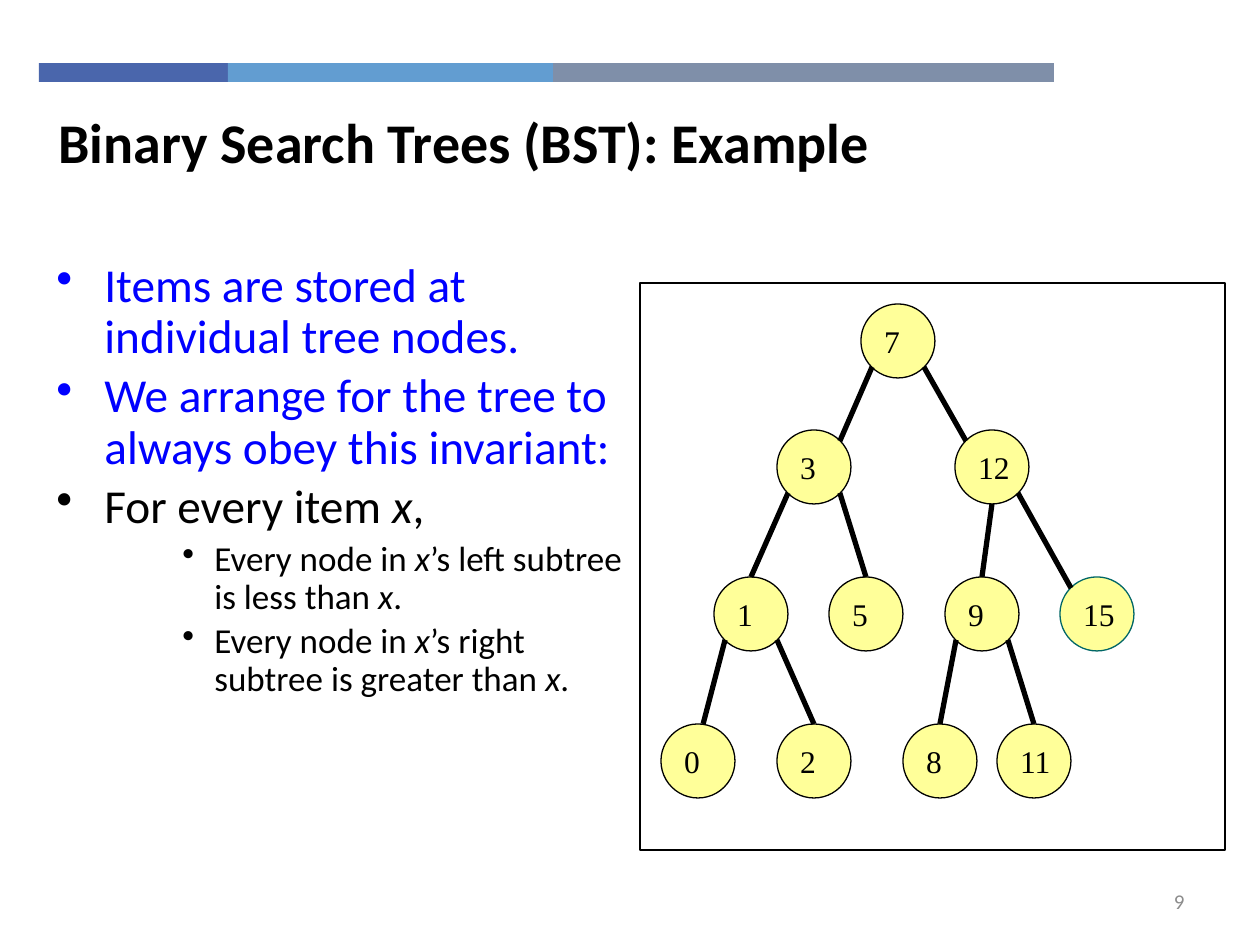
from dataclasses import dataclass

from lxml.etree import SubElement
from pptx import Presentation
from pptx.dml.color import RGBColor
from pptx.enum.shapes import MSO_CONNECTOR, MSO_SHAPE
from pptx.enum.text import MSO_ANCHOR, PP_ALIGN
from pptx.oxml.ns import qn
from pptx.util import Pt

PX = 914400 // 126  # EMU in one px


@dataclass(frozen=True)
class Theme:
    black: str = "000000"
    white: str = "FFFFFF"
    blue: str = "0000FF"
    gray: str = "8C8C8C"
    node: str = "FFFF99"
    teal: str = "006666"
    sans: str = "Calibri"
    serif: str = "Times New Roman"
    title: int = 32
    body: int = 27
    detail: int = 20
    label: int = 18
    number: int = 12
    outline: float = 0.75
    edge: int = 3


THEME = Theme()

# Content
TITLE = "Binary Search Trees (BST): Example"
PAGE_NUMBER = "9"
STRIPE = [(189, "4A66AC"), (325, "629DD1"), (501, "7F8FA9")]  # width, colour

# Style: level, left margin px, hanging px, size, space before
POINT = (0, 48, 48, THEME.body, 5)
DETAIL = (2, 158, 32, THEME.detail, 4)
# Every second piece of text is italic
BULLETS = [
    (POINT, THEME.blue, ["Items are stored at individual tree nodes."]),
    (POINT, THEME.blue, ["We arrange for the tree to always obey this invariant:"]),
    (POINT, THEME.black, ["For every item ", "x", ","]),
    (DETAIL, THEME.black,
     ["Every node in ", "x", "’s left subtree is less than ", "x", "."]),
    (DETAIL, THEME.black,
     ["Every node in ", "x", "’s right subtree is greater than ", "x", "."]),
]

# Tree rows: top, then left of each node by its label
NODE_SIZE = 74
ROWS = [
    (304, {"7": 861}),
    (430, {"3": 777, "12": 955}),
    (577, {"1": 714, "5": 829, "9": 945, "15": 1060}),
    (724, {"0": 661, "2": 777, "8": 903, "11": 997}),
]
NODES = {label: (left, top) for top, row in ROWS for label, left in row.items()}
OUTLINES = {"15": THEME.teal}

# Points on a node's rim, as shares of its size
RIM = {
    "top": (0.5, 0), "right of top": (0.57, 0), "bottom": (0.5, 1),
    "top left": (0.15, 0.15), "top right": (0.85, 0.15),
    "bottom left": (0.15, 0.85), "bottom right": (0.85, 0.85),
}
EDGES = [
    ("7", "bottom left", "3", "top right"),
    ("7", "bottom right", "12", "top left"),
    ("3", "bottom left", "1", "top"),
    ("3", "bottom right", "5", "top"),
    ("12", "bottom", "9", "top"),
    ("12", "bottom right", "15", "top left"),
    ("1", "bottom left", "0", "right of top"),
    ("1", "bottom right", "2", "top"),
    ("9", "bottom left", "8", "top"),
    ("9", "bottom right", "11", "top"),
]


def emu(*lengths):
    return [round(length * PX) for length in lengths]


def color(code):
    return RGBColor.from_string(code)


def set_font(font, name, size, code, bold=False):
    font.name, font.size, font.bold = name, Pt(size), bold
    font.color.rgb = color(code)


def add_box(page, left, top, width, height):
    box = page.shapes.add_textbox(*emu(left, top, width, height))
    box.text_frame.word_wrap = True
    return box.text_frame


def add_form(page, kind, bounds, fill, outline=None):
    form = page.shapes.add_shape(kind, *emu(*bounds))
    form.shadow.inherit = False
    form.fill.solid()
    form.fill.fore_color.rgb = color(fill)
    if outline:
        form.line.color.rgb = color(outline)
        form.line.width = Pt(THEME.outline)
    else:
        form.line.fill.background()
    return form


def add_bullet(para, style, code, pieces):
    level, margin, hanging, size, before = style
    para.level = level
    para.line_spacing = 0.9
    para.space_before = Pt(before)
    properties = para._p.get_or_add_pPr()
    properties.set("marL", str(margin * PX))
    properties.set("indent", str(-hanging * PX))
    SubElement(properties, qn("a:buChar")).set("char", "•")
    set_font(para.font, THEME.sans, size, code)
    for index, piece in enumerate(pieces):
        span = para.add_run()
        span.text = piece
        if index % 2:
            span.font.italic = True


def add_node(page, label, left, top):
    node = add_form(page, MSO_SHAPE.OVAL, (left, top, NODE_SIZE, NODE_SIZE),
                    THEME.node, OUTLINES.get(label, THEME.black))
    frame = node.text_frame
    frame.word_wrap = False
    frame.vertical_anchor = MSO_ANCHOR.MIDDLE
    para = frame.paragraphs[0]
    para.text = label
    para.alignment = PP_ALIGN.LEFT
    set_font(para.font, THEME.serif, THEME.label, THEME.black)


def rim_point(label, place):
    return [start + share * NODE_SIZE for start, share in zip(NODES[label], RIM[place])]


def add_edge(page, parent, start, child, end):
    points = rim_point(parent, start) + rim_point(child, end)
    edge = page.shapes.add_connector(MSO_CONNECTOR.STRAIGHT, *emu(*points))
    edge.line.color.rgb = color(THEME.black)
    edge.line.width = Pt(THEME.edge)
    SubElement(edge._element.spPr, qn("a:effectLst"))


def main():
    deck = Presentation()
    deck.slide_width, deck.slide_height = emu(1260, 945)
    page = deck.slides.add_slide(deck.slide_layouts[6])

    # Stripe
    left = 39
    for width, fill in STRIPE:
        add_form(page, MSO_SHAPE.RECTANGLE, (left, 63, width, 19), fill)
        left += width

    # Title
    para = add_box(page, 46, 101, 902, 68).paragraphs[0]
    para.text = TITLE
    set_font(para.font, THEME.sans, THEME.title, THEME.black, bold=True)

    # Panel behind the tree
    add_form(page, MSO_SHAPE.RECTANGLE, (640, 283, 585, 567), THEME.white, THEME.black)

    # Bullets
    frame = add_box(page, 44, 255, 595, 557)
    for index, bullet in enumerate(BULLETS):
        para = frame.add_paragraph() if index else frame.paragraphs[0]
        add_bullet(para, *bullet)

    # Tree
    for label, (left, top) in NODES.items():
        add_node(page, label, left, top)
    for edge in EDGES:
        add_edge(page, *edge)

    # Page number
    frame = add_box(page, 903, 876, 294, 50)
    frame.vertical_anchor = MSO_ANCHOR.MIDDLE
    para = frame.paragraphs[0]
    para.text = PAGE_NUMBER
    para.alignment = PP_ALIGN.RIGHT
    set_font(para.font, THEME.sans, THEME.number, THEME.gray)

    deck.save("out.pptx")


if __name__ == "__main__":
    main()
